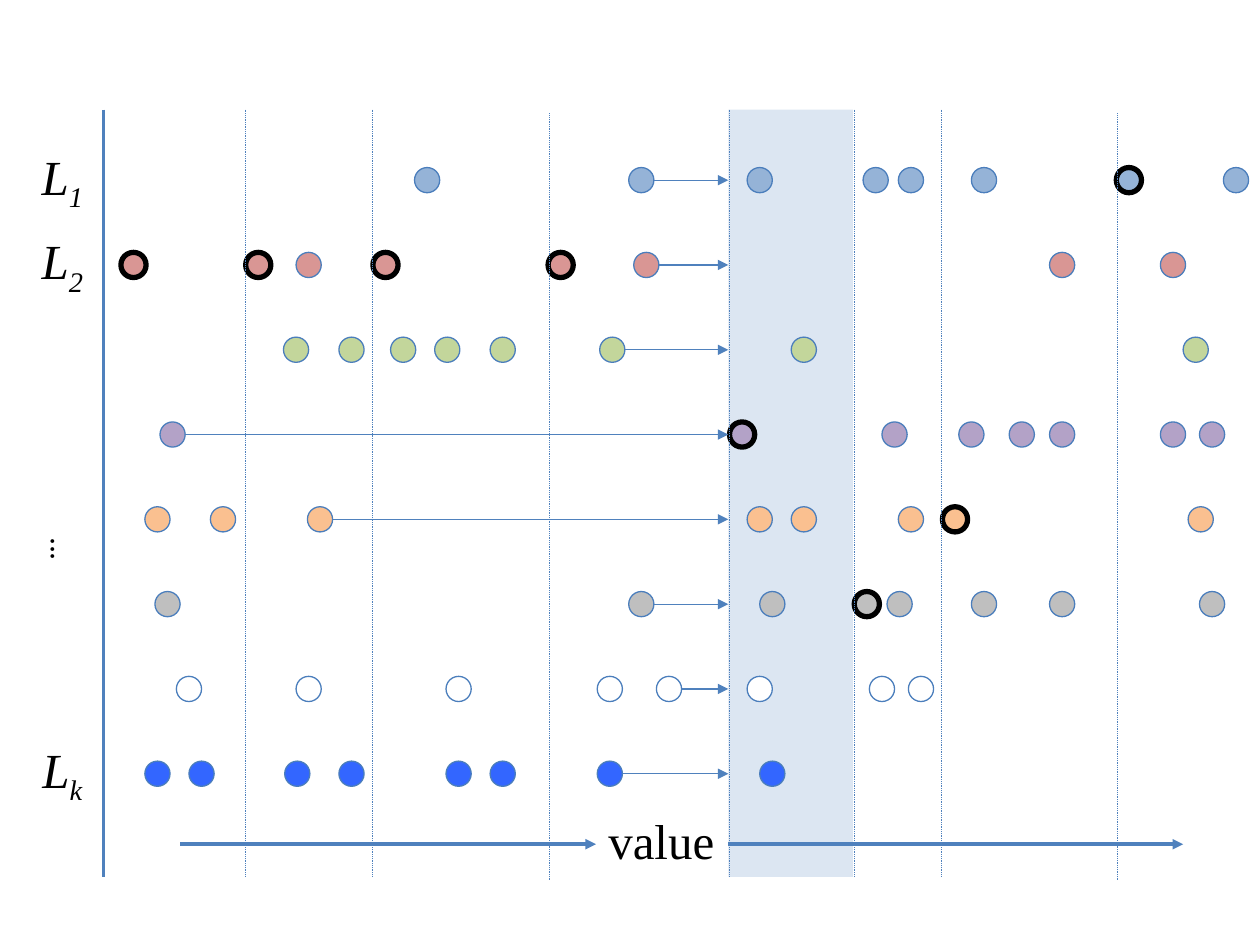
from lxml import etree
from pptx import Presentation, util as u
from pptx.dml.color import RGBColor
from pptx.enum import dml, shapes, text
from pptx.oxml import ns

THEME = {
    "band": "DCE6F2", "line": "4F81BD", "rim": "4B7EBC", "ink": "000000",
    "serif": "Times New Roman", "sans": "Calibri", "label": 28, "dots": 18,
}
TOP, BOTTOM = 0.87, 6.96
BAND_LEFT, BAND_RIGHT = 5.78, 6.77
FIRST_ROW, ROW_STEP, DOT = 1.43, 0.673, 0.2
AXIS_Y = 6.7

LISTS = [
    ("95B3D7", [3.29, 4.99, 5.93, 6.85, 7.13, 7.71, 8.86, 9.71], [8.86]),
    ("D99694", [0.96, 1.95, 2.35, 2.96, 4.35, 5.03, 8.33, 9.21], [0.96, 1.95, 2.96, 4.35]),
    ("C3D69B", [2.25, 2.69, 3.1, 3.45, 3.89, 4.76, 6.28, 9.39], []),
    ("B3A2C7", [1.27, 5.79, 7, 7.61, 8.01, 8.33, 9.21, 9.52], [5.79]),
    ("FAC090", [1.15, 1.67, 2.44, 5.93, 6.28, 7.13, 7.48, 9.43], [7.48]),
    ("BFBFBF", [1.23, 4.99, 6.03, 6.78, 7.04, 7.71, 8.33, 9.52], [6.78]),
    ("FFFFFF", [1.4, 2.35, 3.54, 4.74, 5.21, 5.93, 6.9, 7.21], []),
    ("3366FF", [1.15, 1.5, 2.26, 2.69, 3.54, 3.89, 4.74, 6.03], []),
]

deck = Presentation()
deck.slide_width, deck.slide_height = u.Inches(10), u.Inches(7.5)
page = deck.slides.add_slide(deck.slide_layouts[6])


def draw_line(x1, y1, x2, y2, width, dotted=False, arrow=False):
    line = page.shapes.add_connector(
        shapes.MSO_CONNECTOR.STRAIGHT, *map(u.Inches, (x1, y1, x2, y2)))
    line.line.color.rgb = RGBColor.from_string(THEME["line"])
    line.line.width = u.Pt(width)
    if dotted:
        line.line.dash_style = dml.MSO_LINE.ROUND_DOT
    if arrow:
        etree.SubElement(line.line._get_or_add_ln(), ns.qn("a:tailEnd"), type="triangle")
    etree.SubElement(line._element.spPr, ns.qn("a:effectLst"))


def write(left, top, width, height, words, font, size, subscript="", italic=False):
    box = page.shapes.add_textbox(*map(u.Inches, (left, top, width, height)))
    box.text_frame.word_wrap = False
    para = box.text_frame.paragraphs[0]
    para.font.name, para.font.size, para.font.italic = font, u.Pt(size), italic
    para.font.color.rgb = RGBColor.from_string(THEME["ink"])
    para.add_run().text = words
    if subscript:
        para.alignment = text.PP_ALIGN.CENTER
        span = para.add_run()
        span.text = subscript
        span._r.get_or_add_rPr().set("baseline", "-25000")
    return box


band = page.shapes.add_shape(
    shapes.MSO_SHAPE.RECTANGLE,
    *map(u.Inches, (BAND_LEFT, TOP, BAND_RIGHT - BAND_LEFT, BOTTOM - TOP)))
band.shadow.inherit = False
band.fill.solid()
band.fill.fore_color.rgb = RGBColor.from_string(THEME["band"])
band.line.fill.background()

for row, (color, lefts, pivots) in enumerate(LISTS):
    middle = FIRST_ROW + row * ROW_STEP
    for left in lefts:
        dot = page.shapes.add_shape(
            shapes.MSO_SHAPE.OVAL, *map(u.Inches, (left, middle - DOT / 2, DOT, DOT)))
        dot.shadow.inherit = False
        dot.fill.solid()
        dot.fill.fore_color.rgb = RGBColor.from_string(color)
        rim = THEME["ink"] if left in pivots else THEME["rim"]
        dot.line.color.rgb = RGBColor.from_string(rim)
        dot.line.width = u.Pt(3 if left in pivots else 0.75)
    last_before_band = max(left for left in lefts if left < BAND_LEFT)
    draw_line(last_before_band + DOT, middle, BAND_LEFT, middle, 0.75, arrow=True)

draw_line(0.82, TOP, 0.82, BOTTOM, 2)
for x, drop in [(1.95, 0), (2.96, 0), (4.36, 0.03), (5.79, 0),
                (6.78, 0), (7.47, 0), (8.87, 0.03)]:
    draw_line(x, TOP + drop, x, BOTTOM + drop, 0.5, dotted=True)

for row, subscript in [(0, "1"), (1, "2"), (7, "k")]:
    write(0.17, FIRST_ROW + row * ROW_STEP - 0.32, 0.65, 0.64, "L",
          THEME["serif"], THEME["label"], subscript, italic=True)
ellipsis = write(-0.04, 3.88, 0.84, 0.5, "...", THEME["sans"], THEME["dots"])
ellipsis.rotation = 270

write(4.73, 6.38, 1.05, 0.64, "value", THEME["serif"], THEME["label"])
for start, end in [(1.43, 4.73), (BAND_LEFT, 9.39)]:
    draw_line(start, AXIS_Y, end, AXIS_Y, 2, arrow=True)

deck.save("out.pptx")
